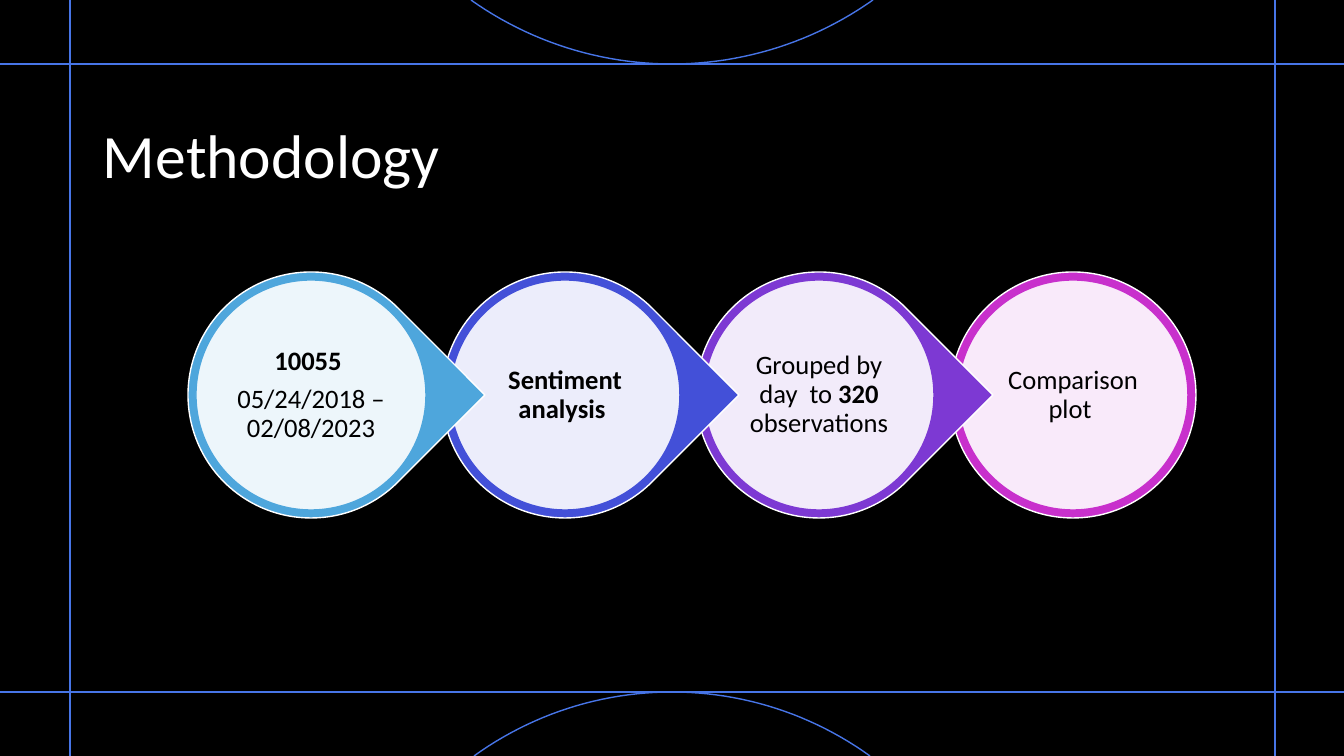
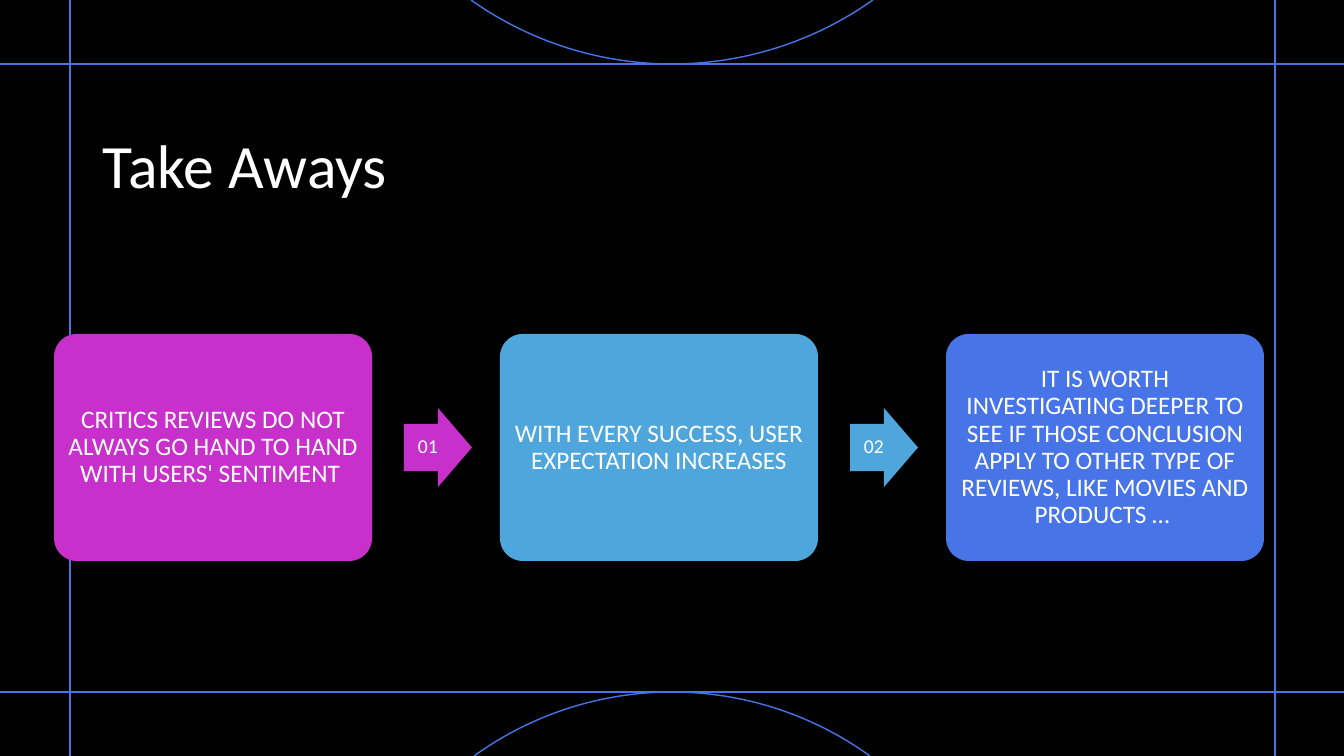
import math
from dataclasses import dataclass

from lxml import etree
from pptx import Presentation
from pptx import util as u
from pptx.dml.color import RGBColor
from pptx.enum import shapes, text
from pptx.oxml.ns import qn


@dataclass(frozen=True)
class Theme:
    font: str = "Calibri"
    black: str = "000000"
    white: str = "FFFFFF"
    blue: str = "4775E7"
    sky: str = "4EA6DC"
    indigo: str = "4350D8"
    violet: str = "7D39D3"
    magenta: str = "C830CC"
    title_size: int = 44
    step_size: int = 19
    card_size: int = 18
    number_size: int = 14
    line_width: int = 1
    line_spacing: float = 0.9


THEME = Theme()
WIDTH, HEIGHT = 1344, 756
EMU_PER_PX = 914400 / 100.8

FRAME_LINES = [
    (0, 692, WIDTH, 692),
    (0, 64, WIDTH, 64),
    (1275, HEIGHT, 1275, 0),
    (70, HEIGHT, 70, 0),
]
FRAME_ARCS = [
    {"apex": 64, "edge": 0, "half_chord": 201},
    {"apex": 692, "edge": HEIGHT, "half_chord": 198},
]
ARC_SEGMENTS = 48

METHOD_TITLE = "Methodology"
METHOD_STEPS = [
    (THEME.sky, [[("10055 ", True)], [("05/24/2018 – 02/08/2023", False)]]),
    (THEME.indigo, [[("Sentiment analysis ", True)]]),
    (THEME.violet, [[("Grouped by day  to ", False), ("320 ", True), ("observations", False)]]),
    (THEME.magenta, [[("Comparison plot ", False)]]),
]

TAKEAWAY_TITLE = "Take Aways"
TAKEAWAYS = [
    (THEME.magenta, "CRITICS REVIEWS DO NOT ALWAYS GO HAND TO HAND WITH USERS' SENTIMENT "),
    (THEME.sky, "WITH EVERY SUCCESS, USER EXPECTATION INCREASES"),
    (THEME.blue, "IT IS WORTH INVESTIGATING DEEPER TO SEE IF THOSE CONCLUSION APPLY TO "
                 "OTHER TYPE OF REVIEWS, LIKE MOVIES AND PRODUCTS … "),
]


def px(value):
    return u.Emu(round(value * EMU_PER_PX))


def color(value):
    return RGBColor.from_string(value)


def style_line(line, value):
    line.color.rgb = color(value)
    line.width = u.Pt(THEME.line_width)


def add_shape(slide, kind, box, fill, outline=None):
    shape = slide.shapes.add_shape(kind, *map(px, box))
    shape.shadow.inherit = False
    shape.fill.solid()
    shape.fill.fore_color.rgb = color(fill)
    if outline:
        style_line(shape.line, outline)
    else:
        shape.line.fill.background()
    return shape


def write(shape, paragraphs, size, ink, inset, align=text.PP_ALIGN.CENTER,
          anchor=text.MSO_ANCHOR.MIDDLE):
    frame = shape.text_frame
    frame.word_wrap = True
    frame.vertical_anchor = anchor
    frame.margin_left = frame.margin_right = px(inset)
    frame.margin_top = frame.margin_bottom = px(min(inset, 7))
    for index, runs in enumerate(paragraphs):
        paragraph = frame.add_paragraph() if index else frame.paragraphs[0]
        paragraph.alignment = align
        paragraph.line_spacing = THEME.line_spacing
        if index:
            paragraph.space_before = u.Pt(size * 0.35)
        paragraph.font.name = THEME.font
        paragraph.font.size = u.Pt(size)
        paragraph.font.color.rgb = color(ink)
        for words, bold in runs:
            run = paragraph.add_run()
            run.text = words
            run.font.bold = bold


def add_arc(slide, apex, edge, half_chord):
    sagitta = abs(apex - edge)
    radius = (half_chord ** 2 + sagitta ** 2) / (2 * sagitta)
    direction = 1 if apex > edge else -1
    reach = math.asin(half_chord / radius)
    angles = [reach * (2 * step / ARC_SEGMENTS - 1) for step in range(ARC_SEGMENTS + 1)]
    points = [
        (px(WIDTH / 2 + radius * math.sin(angle)),
         px(apex - direction * radius * (1 - math.cos(angle))))
        for angle in angles
    ]
    builder = slide.shapes.build_freeform(*points[0])
    builder.add_line_segments(points[1:], close=False)
    arc = builder.convert_to_shape()
    arc.shadow.inherit = False
    arc.fill.background()
    style_line(arc.line, THEME.blue)


def add_framed_slide(presentation, title, title_height):
    slide = presentation.slides.add_slide(presentation.slide_layouts[6])
    slide.background.fill.solid()
    slide.background.fill.fore_color.rgb = color(THEME.black)
    for ends in FRAME_LINES:
        line = slide.shapes.add_connector(shapes.MSO_CONNECTOR.STRAIGHT, *map(px, ends))
        style_line(line.line, THEME.blue)
        etree.SubElement(line.element.spPr, qn("a:effectLst"))
    for arc in FRAME_ARCS:
        add_arc(slide, **arc)
    box = slide.shapes.add_textbox(*map(px, (93, 97, 972, title_height)))
    write(box, [[(title, False)]], THEME.title_size, THEME.white, 10,
          text.PP_ALIGN.LEFT, text.MSO_ANCHOR.BOTTOM)
    return slide


def build_methodology(presentation):
    slide = add_framed_slide(presentation, METHOD_TITLE, 102)
    left, top, pitch, outer, ring, label_gap = 188, 272, 254, 246, 8, 41
    last = len(METHOD_STEPS) - 1
    for index, (accent, paragraphs) in reversed(list(enumerate(METHOD_STEPS))):
        x = left + pitch * index
        kind = shapes.MSO_SHAPE.OVAL if index == last else shapes.MSO_SHAPE.TEAR
        drop = add_shape(slide, kind, (x, top, outer, outer), accent, THEME.white)
        drop.rotation = 0 if index == last else 45
        inner = outer - 2 * ring
        disc = add_shape(slide, shapes.MSO_SHAPE.OVAL, (x + ring, top + ring, inner, inner),
                         THEME.white, accent)
        fill = disc.element.spPr.find(qn("a:solidFill"))
        etree.SubElement(fill[0], qn("a:alpha"), val="90000")
        side = outer - 2 * label_gap
        label = slide.shapes.add_textbox(*map(px, (x + label_gap, top + label_gap, side, side)))
        write(label, paragraphs, THEME.step_size, THEME.black, 3)


def build_takeaways(presentation):
    slide = add_framed_slide(presentation, TAKEAWAY_TITLE, 112)
    left, top, pitch, width, height = 54, 334, 446, 318, 227
    arrow_gap, arrow_width, arrow_height = 32, 68, 79
    for index, (accent, words) in enumerate(TAKEAWAYS):
        x = left + pitch * index
        card = add_shape(slide, shapes.MSO_SHAPE.ROUNDED_RECTANGLE, (x, top, width, height), accent)
        card.adjustments[0] = 0.1
        write(card, [[(words, False)]], THEME.card_size, THEME.white, 7)
        if index < len(TAKEAWAYS) - 1:
            arrow = add_shape(
                slide, shapes.MSO_SHAPE.RIGHT_ARROW,
                (x + width + arrow_gap, top + (height - arrow_height) / 2,
                 arrow_width, arrow_height), accent)
            arrow.adjustments[0] = 0.6
            arrow.adjustments[1] = 0.5
            write(arrow, [[(f"{index + 1:02}", False)]], THEME.number_size, THEME.white, 0)


def main():
    presentation = Presentation()
    presentation.slide_width, presentation.slide_height = px(WIDTH), px(HEIGHT)
    build_methodology(presentation)
    build_takeaways(presentation)
    presentation.save("out.pptx")


if __name__ == "__main__":
    main()
